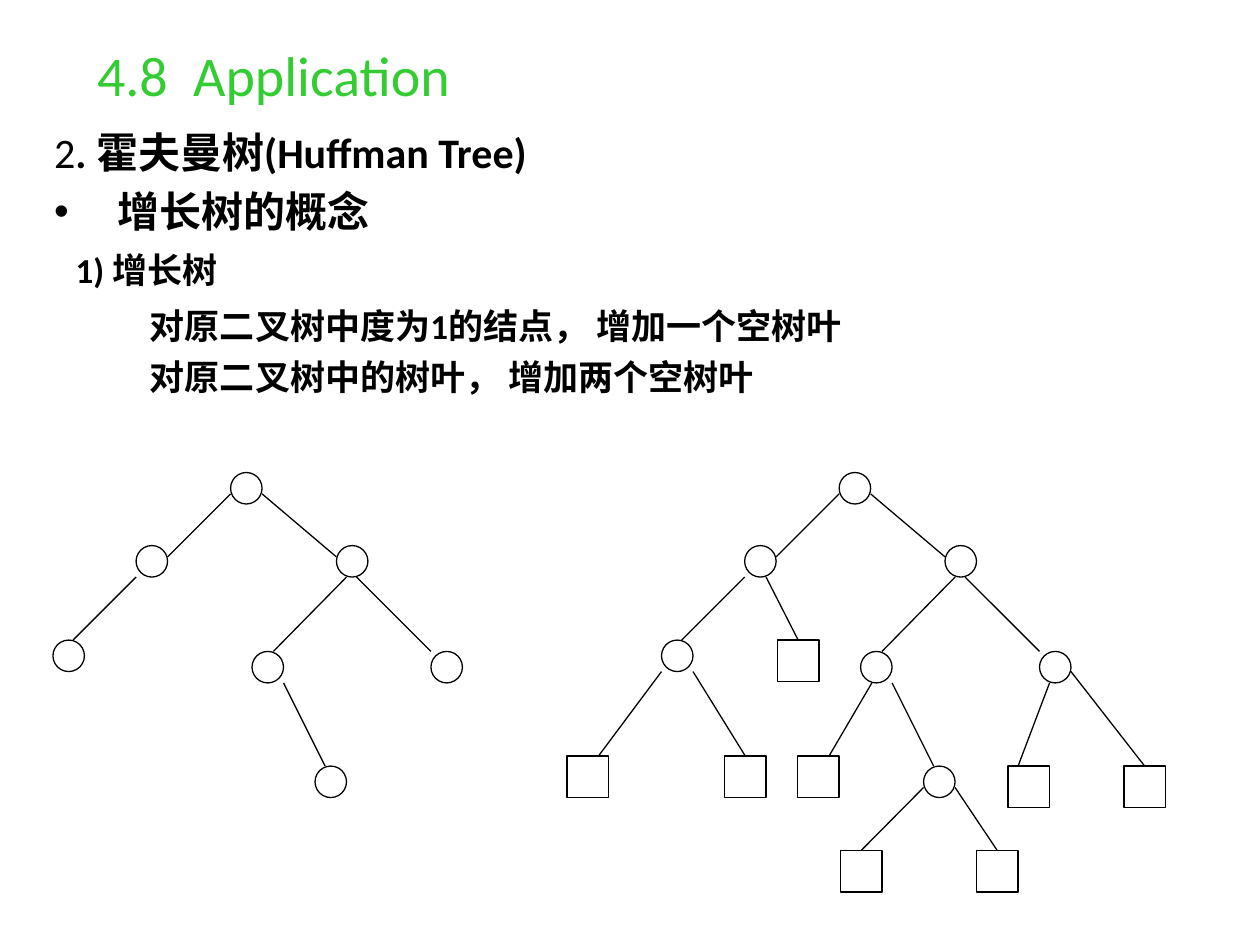
"""Build the Huffman tree slide with a binary tree and its extended form."""
from typing import NamedTuple, Optional

from lxml.etree import SubElement
from pptx import Presentation
from pptx.dml.color import RGBColor
from pptx.enum.shapes import MSO_CONNECTOR as CONN, MSO_SHAPE as SHAPE
from pptx.enum.text import MSO_ANCHOR as ANCHOR, PP_ALIGN as ALIGN
from pptx.oxml.ns import qn
from pptx.util import Inches, Pt

GREEN = RGBColor(0x33, 0xCC, 0x33)
BLACK = RGBColor(0, 0, 0)
FONT = "Calibri"
NODE, LEAF = 0.25, 0.33
TREE_GAP = 4.83


class Line(NamedTuple):
    text: str
    size: int
    margin: float
    indent: float = 0
    before: float = 7.5
    bullet: Optional[str] = None


class Edge(NamedTuple):
    x1: float
    y1: float
    x2: float
    y2: float


class Leaf(NamedTuple):
    x: float
    y: float
    parent_x: float
    parent_y: float
    end_x: Optional[float] = None


LINES = [
    Line("2", 24, 0.19, -0.19, 0),
    Line("增长树的概念", 24, 0.5, -0.5, bullet="•"),
    Line("1) 增长树", 20, 0.17, before=10),
    Line("对原二叉树中度为1的结点， 增加一个空树叶", 20, 0.76, before=10),
    Line("对原二叉树中的树叶， 增加两个空树叶", 20, 0.76),
]
NODES = [(1.83, 3.75), (1.08, 4.33), (2.67, 4.33), (0.42, 5.08),
         (2, 5.17), (3.42, 5.17), (2.5, 6.08)]
EDGES = [
    Edge(1.08, 4.58, 0.58, 5.08), Edge(1.83, 3.92, 1.33, 4.42),
    Edge(2.75, 4.58, 2.17, 5.17), Edge(2.08, 3.92, 2.67, 4.42),
    Edge(2.83, 4.58, 3.42, 5.17), Edge(2.25, 5.42, 2.58, 6.08),
]
LEAVES = [
    Leaf(6.17, 5.08, 6.08, 4.58), Leaf(4.5, 6, 5.25, 5.33, 4.75),
    Leaf(5.75, 6, 5.5, 5.33), Leaf(6.33, 6, 6.92, 5.42, 6.58),
    Leaf(6.67, 6.75, 7.33, 6.25), Leaf(7.75, 6.75, 7.58, 6.25),
    Leaf(8, 6.08, 8.33, 5.42, 8.08), Leaf(8.92, 6.08, 8.5, 5.33),
]


def place(sp, x: float, y: float, w: float, h: float) -> None:
    sp.left, sp.top, sp.width, sp.height = map(Inches, (x, y, w, h))


def style_line(line) -> None:
    line.color.rgb = BLACK
    line.width = Pt(0.75)


def style_font(font, size: int, color: RGBColor, bold: bool = False) -> None:
    font.name, font.size, font.bold = FONT, Pt(size), bold
    font.color.rgb = color


def add_outline(s, kind: SHAPE, x: float, y: float, size: float):
    sp = s.shapes.add_shape(kind, *map(Inches, (x, y, size, size)))
    sp.fill.background()
    sp.shadow.inherit = False
    style_line(sp.line)
    return sp


def add_edge(s, edge: Edge):
    cx = s.shapes.add_connector(CONN.STRAIGHT, *map(Inches, edge))
    style_line(cx.line)
    SubElement(cx._element.spPr, qn("a:effectLst"))
    return cx


def add_tree(s, dx: float) -> None:
    for x, y in NODES:
        add_outline(s, SHAPE.OVAL, x + dx, y, NODE)
    for e in EDGES:
        add_edge(s, Edge(e.x1 + dx, e.y1, e.x2 + dx, e.y2))


def add_leaf(s, leaf: Leaf) -> None:
    sp = add_outline(s, SHAPE.RECTANGLE, leaf.x, leaf.y, LEAF)
    end_x = leaf.end_x or leaf.x + LEAF / 2
    cx = add_edge(s, Edge(leaf.parent_x, leaf.parent_y, end_x, leaf.y))
    if leaf.end_x is None:
        cx.end_connect(sp, 0)


def fill_line(p, line: Line) -> None:
    p.text = line.text
    pPr = p._p.get_or_add_pPr()
    pPr.set("marL", str(Inches(line.margin)))
    pPr.set("indent", str(Inches(line.indent)))
    if line.bullet:
        SubElement(pPr, qn("a:buChar"), char=line.bullet)
    else:
        SubElement(pPr, qn("a:buNone"))
    p.line_spacing = 0.9
    p.space_before = Pt(line.before)
    for r in p.runs:
        style_font(r.font, line.size, BLACK, bold=True)


def add_title(s) -> None:
    sp = s.shapes.title
    place(sp, 0.67, 0.25, 8.5, 0.75)
    tf = sp.text_frame
    tf.text = "4.8  Application"
    tf.vertical_anchor = ANCHOR.MIDDLE
    p = tf.paragraphs[0]
    p.alignment, p.line_spacing = ALIGN.LEFT, 0.9
    style_font(p.runs[0].font, 32, GREEN)


def add_body(s) -> None:
    sp = s.placeholders[1]
    place(sp, 0.33, 1, 9.42, 6.25)
    tf = sp.text_frame
    for i, line in enumerate(LINES):
        fill_line(tf.add_paragraph() if i else tf.paragraphs[0], line)
    heading = tf.paragraphs[0]
    heading.runs[0].font.bold = False
    r = heading.add_run()
    r.text = ". 霍夫曼树(Huffman Tree)"
    style_font(r.font, 24, BLACK, bold=True)


def main() -> None:
    prs = Presentation()
    prs.slide_width, prs.slide_height = Inches(10), Inches(7.5)
    s = prs.slides.add_slide(prs.slide_layouts[1])
    add_title(s)
    add_body(s)
    for dx in (0, TREE_GAP):
        add_tree(s, dx)
    for leaf in LEAVES:
        add_leaf(s, leaf)
    prs.save("out.pptx")


if __name__ == "__main__":
    main()
